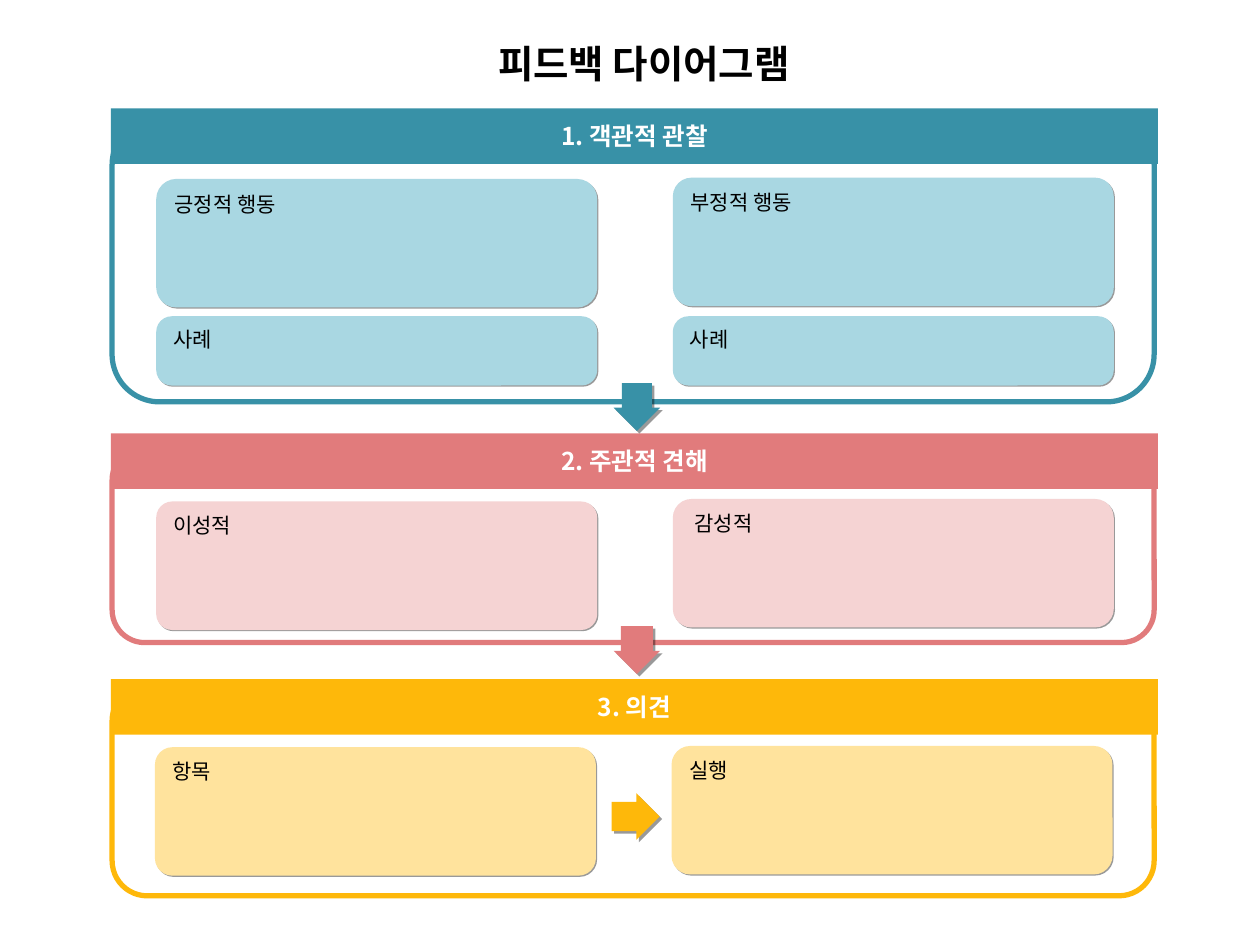
import pptx
import pptx.dml.color
import pptx.enum.shapes
import pptx.enum.text
import pptx.oxml
import pptx.oxml.ns
import pptx.util
from pptx.util import Inches

SHAPE = pptx.enum.shapes.MSO_SHAPE
ALIGN = pptx.enum.text.PP_ALIGN
ANCHOR = pptx.enum.text.MSO_ANCHOR

TEAL, PINK, AMBER = "3891A7", "E17B7C", "FEB80A"
PALE_TEAL, PALE_PINK, PALE_AMBER = "A9D7E2", "F5D3D3", "FFE39D"
COLUMN_STEP = 4.1


def color(hex_string):
    return pptx.dml.color.RGBColor.from_string(hex_string)


def add_shadow(shape, distance):
    """Cast a hard 40% black shadow to the lower right, distance in points."""
    effects = shape._element.spPr.find(pptx.oxml.ns.qn("a:effectLst"))
    effects.append(pptx.oxml.parse_xml(
        f'<a:outerShdw {pptx.oxml.ns.nsdecls("a")} blurRad="0" '
        f'dist="{pptx.util.Pt(distance)}" dir="2700000" algn="ctr" rotWithShape="0">'
        '<a:srgbClr val="000000"><a:alpha val="40000"/></a:srgbClr></a:outerShdw>'))


class FeedbackSlide:
    font_name = "Noto Sans CJK KR"

    def __init__(self, presentation):
        self.slide = presentation.slides.add_slide(presentation.slide_layouts[5])

    def add_text(self, shape, text, size, text_color="000000", bold=False,
                 align=ALIGN.LEFT, anchor=ANCHOR.TOP):
        frame = shape.text_frame
        frame.word_wrap = True
        frame.auto_size = pptx.enum.text.MSO_AUTO_SIZE.NONE
        frame.vertical_anchor = anchor
        frame.margin_left = frame.margin_right = Inches(0.1)
        frame.margin_top = frame.margin_bottom = Inches(0.05)
        paragraph = frame.paragraphs[0]
        paragraph.alignment = align
        run = paragraph.add_run()
        run.text = text
        run.font.size = pptx.util.Pt(size)
        run.font.bold = bold
        run.font.color.rgb = color(text_color)
        run.font.name = self.font_name
        east_asian = pptx.oxml.parse_xml(
            f'<a:ea {pptx.oxml.ns.nsdecls("a")} typeface="{self.font_name}"/>')
        run.font._element.append(east_asian)

    def title(self, text, left, top, width, height):
        title = self.slide.shapes.title
        title.left, title.top = Inches(left), Inches(top)
        title.width, title.height = Inches(width), Inches(height)
        self.add_text(title, text, 22, bold=True, align=ALIGN.CENTER)

    def shape(self, kind, left, top, width, height, fill=None, adjustments=(), shapes=None):
        """Add a borderless preset shape to the slide or to a group's shapes."""
        if shapes is None:
            shapes = self.slide.shapes
        shape = shapes.add_shape(
            kind, Inches(left), Inches(top), Inches(width), Inches(height))
        for index, value in enumerate(adjustments):
            shape.adjustments[index] = value
        shape.shadow.inherit = False
        shape.line.fill.background()
        if fill:
            shape.fill.solid()
            shape.fill.fore_color.rgb = color(fill)
        else:
            shape.fill.background()
        return shape

    def panel(self, heading, main_color, header_top, frame_top, frame_height):
        """Group a rounded outline with its square-cornered header bar."""
        shapes = self.slide.shapes.add_group_shape().shapes
        outline = self.shape(SHAPE.ROUNDED_RECTANGLE, 0.89, frame_top, 8.27, frame_height,
                             adjustments=[0.167], shapes=shapes)
        outline.line.color.rgb = color(main_color)
        outline.line.width = pptx.util.Pt(3)
        header = self.shape(SHAPE.ROUNDED_RECTANGLE, 0.88, header_top, 8.31, 0.44,
                            main_color, [0], shapes)
        self.add_text(header, heading, 14, "FFFFFF", True, ALIGN.CENTER, ANCHOR.MIDDLE)

    def card(self, label, left, top, height, fill, corner):
        card = self.shape(SHAPE.ROUNDED_RECTANGLE, left, top, 3.5, height, fill, [corner])
        add_shadow(card, 1)
        self.add_text(card, label, 12)
        return card

    def arrow(self, left, top, fill, shaft, rotation=0):
        arrow = self.shape(SHAPE.DOWN_ARROW, left, top, 0.37, 0.38, fill, [shaft, 0.5])
        arrow.rotation = rotation
        add_shadow(arrow, 2)


def main():
    presentation = pptx.Presentation()
    presentation.slide_width, presentation.slide_height = Inches(10), Inches(7.5)
    diagram = FeedbackSlide(presentation)
    diagram.title("피드백 다이어그램", 3, 0.27, 4.22, 0.47)

    # heading, color, header top, frame top, frame height
    panels = [
        ("1. 객관적 관찰", TEAL, 0.86, 0.93, 2.26),
        ("2. 주관적 견해", PINK, 3.44, 3.55, 1.55),
        ("3. 의견", AMBER, 5.39, 5.44, 1.67),
    ]
    for panel in panels:
        diagram.panel(*panel)

    # labels, left, tops, height, fill, corners; pairs run left to right
    card_rows = [
        (("긍정적 행동", "부정적 행동"), 1.24, (1.42, 1.41), 1.02, PALE_TEAL, (0.157, 0.146)),
        (("사례", "사례"), 1.24, (2.51, 2.51), 0.55, PALE_TEAL, (0.225, 0.225)),
        (("이성적", "감성적"), 1.24, (3.98, 3.96), 1.02, PALE_PINK, (0.125, 0.146)),
        (("항목", "실행"), 1.23, (5.93, 5.92), 1.02, PALE_AMBER, (0.136, 0.146)),
    ]
    for labels, left, tops, height, fill, corners in card_rows:
        for column, (label, top, corner) in enumerate(zip(labels, tops, corners)):
            card = diagram.card(label, left + column * COLUMN_STEP, top, height, fill, corner)
            if label == "감성적":
                card.text_frame.margin_left = Inches(0.13)

    diagram.arrow(4.87, 3.04, TEAL, 0.64)
    diagram.arrow(4.87, 4.97, PINK, 0.69)
    diagram.arrow(4.86, 6.29, AMBER, 0.63, rotation=270)

    presentation.save("out.pptx")


if __name__ == "__main__":
    main()
